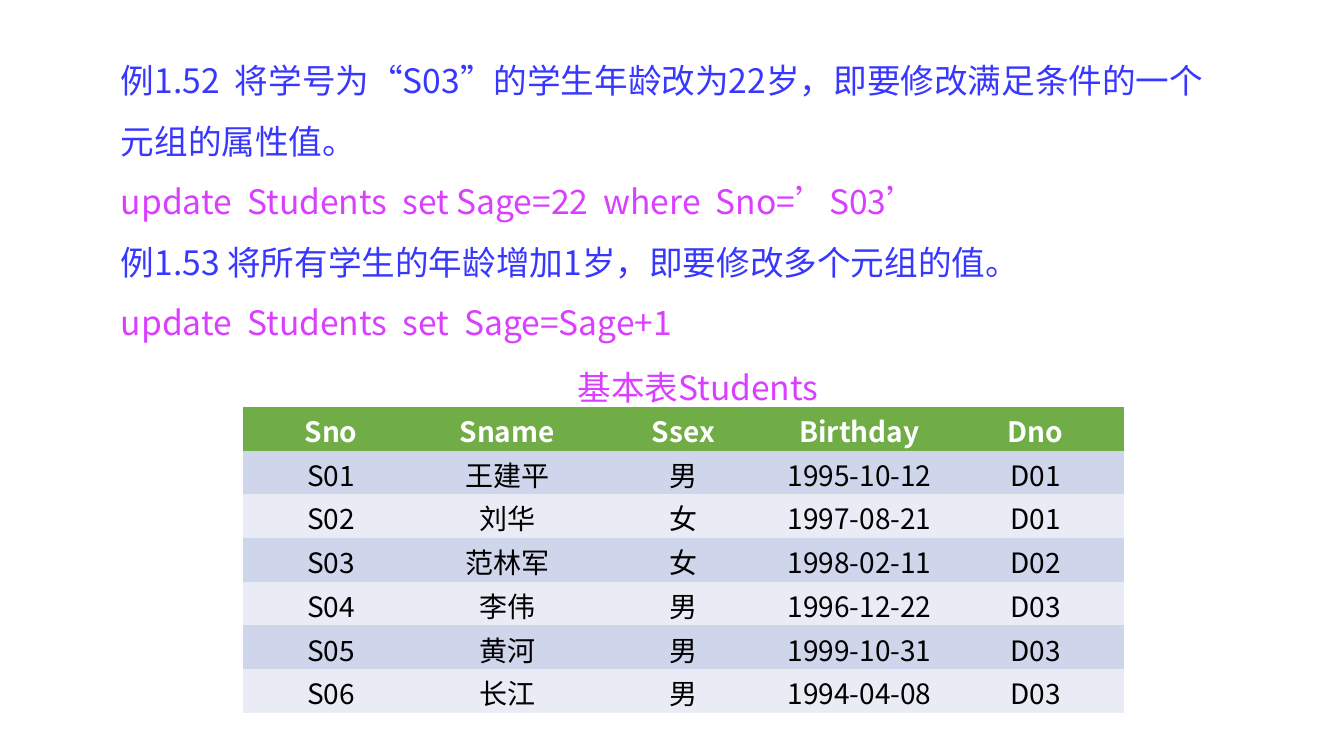
from pptx import Presentation
from pptx.dml.color import RGBColor
from pptx.enum.text import MSO_ANCHOR, MSO_AUTO_SIZE, PP_ALIGN
from pptx.oxml.ns import qn
from pptx.util import Emu, Pt
from lxml.etree import SubElement

BLUE = RGBColor(0x37, 0x37, 0xFF)
MAGENTA = RGBColor(0xDA, 0x3F, 0xFF)
GREEN = RGBColor(0x70, 0xAD, 0x47)
BANDS = (RGBColor(0xCF, 0xD5, 0xEA), RGBColor(0xE9, 0xEB, 0xF5))
WHITE = RGBColor(0xFF, 0xFF, 0xFF)
BLACK = RGBColor(0x00, 0x00, 0x00)
FONT = "Noto Sans CJK SC"

EXAMPLES = [
    ("例1.52  将学号为“S03”的学生年龄改为22岁，即要修改满足条件的一个元组的属性值。", BLUE),
    ("update  Students  set Sage=22  where  Sno=’S03’", MAGENTA),
    ("例1.53 将所有学生的年龄增加1岁，即要修改多个元组的值。", BLUE),
    ("update  Students  set  Sage=Sage+1", MAGENTA),
]
CAPTION = [("基本表Students", MAGENTA)]
STUDENTS = [
    ("Sno", "Sname", "Ssex", "Birthday", "Dno"),
    ("S01", "王建平", "男", "1995-10-12", "D01"),
    ("S02", "刘华", "女", "1997-08-21", "D01"),
    ("S03", "范林军", "女", "1998-02-11", "D02"),
    ("S04", "李伟", "男", "1996-12-22", "D03"),
    ("S05", "黄河", "男", "1999-10-31", "D03"),
    ("S06", "长江", "男", "1994-04-08", "D03"),
]
EXAMPLES_BOX = (111, 35, 1132, 316)
CAPTION_BOX = (544, 362, 308, 50)
STUDENTS_BOX = (243, 407, 881, 306)


def px(length):
    return Emu(round(length * 914400 / 100.8))


def style(paragraph, size, color, align, bold=False):
    paragraph.alignment = align
    font = paragraph.font
    font.size = Pt(size)
    font.bold = bold
    font.color.rgb = color
    font.name = FONT
    defaults = paragraph._p.pPr.find(qn("a:defRPr"))
    SubElement(defaults, qn("a:ea")).set("typeface", FONT)


def add_lines(slide, box, lines, align, spacing):
    frame = slide.shapes.add_textbox(*map(px, box)).text_frame
    frame.word_wrap = True
    frame.auto_size = MSO_AUTO_SIZE.SHAPE_TO_FIT_TEXT
    frame.text = "\n".join(text for text, _ in lines)
    for paragraph, (_, color) in zip(frame.paragraphs, lines):
        paragraph.line_spacing = spacing
        style(paragraph, 24, color, align)


def add_students(slide):
    table = slide.shapes.add_table(
        len(STUDENTS), len(STUDENTS[0]), *map(px, STUDENTS_BOX)).table
    for r, student in enumerate(STUDENTS):
        header = r == 0
        for c, value in enumerate(student):
            cell = table.cell(r, c)
            cell.text = value
            cell.vertical_anchor = MSO_ANCHOR.MIDDLE
            cell.margin_top = px(3)
            cell.margin_bottom = 0
            cell.fill.solid()
            cell.fill.fore_color.rgb = GREEN if header else BANDS[(r - 1) % 2]
            style(cell.text_frame.paragraphs[0], 20,
                  WHITE if header else BLACK, PP_ALIGN.CENTER, header)
    properties = table._tbl.tblPr
    properties.find(qn("a:tableStyleId")).text = "{2D5ABB26-0587-4C30-8999-92F81FD0307C}"


def main():
    deck = Presentation()
    deck.slide_width, deck.slide_height = px(1344), px(756)
    slide = deck.slides.add_slide(deck.slide_layouts[6])
    add_lines(slide, EXAMPLES_BOX, EXAMPLES, PP_ALIGN.LEFT, 1.5)
    add_students(slide)
    add_lines(slide, CAPTION_BOX, CAPTION, PP_ALIGN.CENTER, 1.0)
    deck.save("out.pptx")


if __name__ == "__main__":
    main()
